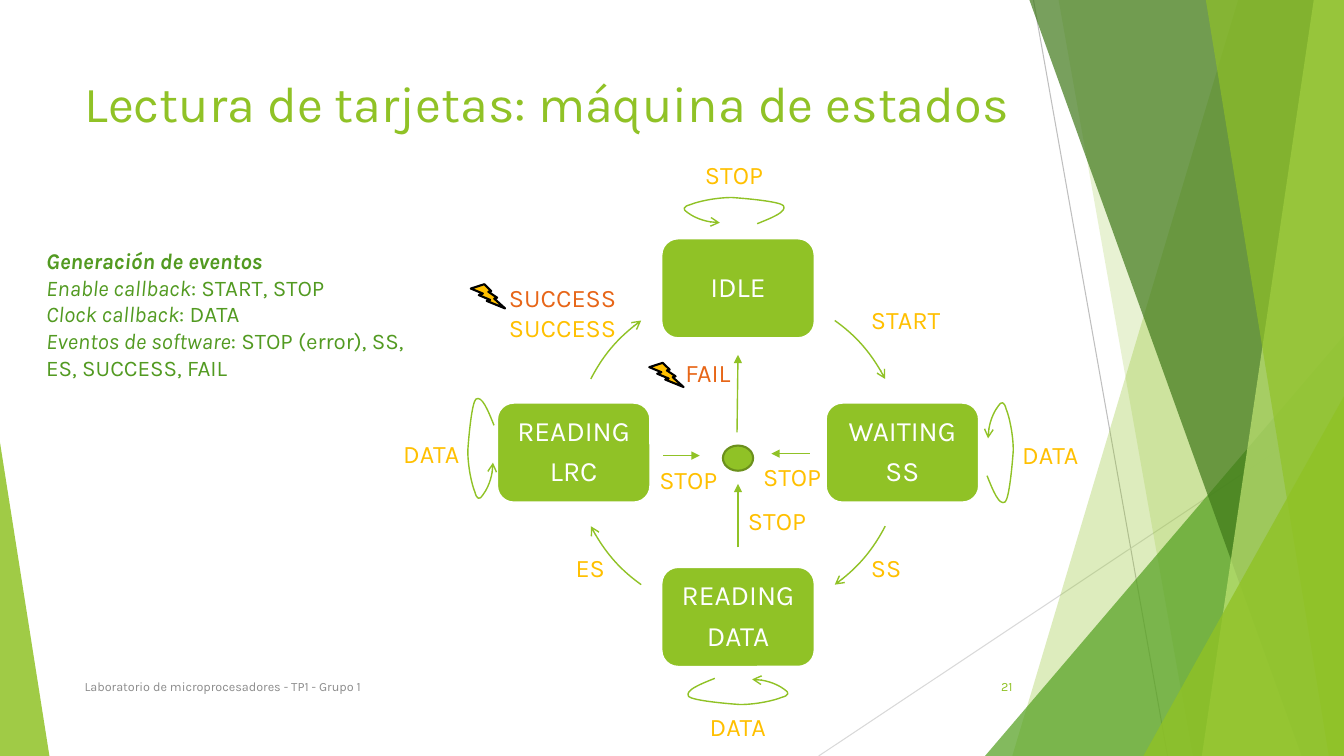
"""Build the card-reading state machine slide."""
from dataclasses import dataclass

from lxml import etree
from pptx import Presentation
from pptx import oxml
from pptx import util as u
from pptx.dml import color
from pptx.enum import shapes, text
from pptx.oxml import ns

GREEN, AMBER, ORANGE, FOREST, WHITE = "90C226", "FFC000", "E76618", "529A21", "FFFFFF"
RING_X, RING_Y, RING_RADIUS = 7.32, 4.49, 1.63
ARC = [(0.96, -1.31), (1.17, -1.16), (1.34, -0.96), (1.46, -0.73)]
LOOP = [(0.23, 0.13), (0.38, 0.07), (0.53, 0.01), (0.49, -0.05), (0.45, -0.09),
        (0.13, -0.12), (-0.02, -0.13), (-0.18, -0.13), (-0.36, -0.09), (-0.43, -0.06),
        (-0.51, -0.04), (-0.51, -0.01), (-0.46, 0.02), (-0.42, 0.05), (-0.3, 0.12),
        (-0.14, 0.12)]
Point = tuple[float, float]


@dataclass
class Span:
    words: str
    color: str = AMBER
    size: float = 18
    bold: bool = False
    italic: bool = False


@dataclass
class Label:
    x: float
    y: float
    width: float
    height: float
    lines: list[list[Span]]
    align: text.PP_ALIGN = text.PP_ALIGN.LEFT
    anchor: text.MSO_ANCHOR = text.MSO_ANCHOR.TOP


@dataclass
class State:
    name: str
    dx: int
    dy: int


@dataclass
class Facet:
    points: list[Point]
    color: str
    opacity: int


@dataclass
class Link:
    start: Point
    end: Point
    color: str = GREEN
    width: float = 1
    arrow: bool = True


def rgb(value: str) -> color.RGBColor:
    return color.RGBColor.from_string(value)


def paint(shape, fill: str | None, line: str | None = None, width: float = 1, opacity: int = 100) -> None:
    shape.shadow.inherit = False
    if fill:
        shape.fill.solid()
        shape.fill.fore_color.rgb = rgb(fill)
        if opacity < 100:
            tint = shape._element.spPr.find(ns.qn("a:solidFill")).find(ns.qn("a:srgbClr"))
            etree.SubElement(tint, ns.qn("a:alpha")).set("val", str(opacity * 1000))
    else:
        shape.fill.background()
    if line:
        shape.line.color.rgb = rgb(line)
        shape.line.width = u.Pt(width)
    else:
        shape.line.fill.background()


def add_head(shape, kind: str) -> None:
    outline = shape._element.spPr.find(ns.qn("a:ln"))
    outline.append(oxml.parse_xml(f'<a:tailEnd {ns.nsdecls("a")} type="{kind}"/>'))


def write(frame, lines: list[list[Span]], align: text.PP_ALIGN) -> None:
    frame.word_wrap = True
    frame.text = "\n" * (len(lines) - 1)
    for paragraph, spans in zip(frame.paragraphs, lines):
        paragraph.alignment = align
        for span in spans:
            run = paragraph.add_run()
            run.text = span.words
            run.font.name, run.font.size = "Karla", u.Pt(span.size)
            run.font.bold, run.font.italic = span.bold, span.italic
            run.font.color.rgb = rgb(span.color)


def draw_label(slide, label: Label) -> None:
    frame = slide.shapes.add_textbox(*map(u.Inches, (label.x, label.y, label.width, label.height))).text_frame
    write(frame, label.lines, label.align)
    frame.vertical_anchor = label.anchor


def draw_preset(slide, kind: shapes.MSO_SHAPE, x: float, y: float, width: float, height: float):
    return slide.shapes.add_shape(kind, *map(u.Inches, (x, y, width, height)))


def draw_outline(slide, points: list[Point], closed: bool):
    corners = [(u.Inches(x), u.Inches(y)) for x, y in points]
    builder = slide.shapes.build_freeform(*corners[0])
    builder.add_line_segments(corners[1:], close=closed)
    return builder.convert_to_shape()


def draw_curve(slide, points: list[Point]) -> None:
    """Join the points as cubic curves that end in an open arrowhead."""
    curve = draw_outline(slide, points, closed=False)
    steps = list(curve._element.iter(ns.qn("a:lnTo")))
    for first in range(0, len(steps), 3):
        bend = etree.Element(ns.qn("a:cubicBezTo"))
        steps[first].addprevious(bend)
        for step in steps[first:first + 3]:
            bend.append(step[0])
            step.getparent().remove(step)
    paint(curve, None, GREEN)
    add_head(curve, "arrow")


def draw_link(slide, link: Link) -> None:
    connector = slide.shapes.add_connector(
        shapes.MSO_CONNECTOR.STRAIGHT, *map(u.Inches, (*link.start, *link.end)))
    connector.line.color.rgb = rgb(link.color)
    connector.line.width = u.Pt(link.width)
    if link.arrow:
        add_head(connector, "triangle")
    etree.SubElement(connector._element.spPr, ns.qn("a:effectLst"))


def draw_state(slide, state: State) -> None:
    width, height = 1.52, 0.99
    box = draw_preset(slide, shapes.MSO_SHAPE.ROUNDED_RECTANGLE,
                      RING_X + state.dx * RING_RADIUS - width / 2,
                      RING_Y + state.dy * RING_RADIUS - height / 2, width, height)
    paint(box, GREEN, WHITE, 1.5)
    frame = box.text_frame
    write(frame, [[Span(word, WHITE, 20)] for word in state.name.split()], text.PP_ALIGN.CENTER)
    frame.vertical_anchor = text.MSO_ANCHOR.MIDDLE
    for paragraph in frame.paragraphs:
        paragraph.line_spacing, paragraph.space_after = 0.9, u.Pt(7)


FACETS = [
    Facet([(12.28, 0), (13.33, 0), (13.33, 7.5), (10.04, 7.5)], GREEN, 30),
    Facet([(10.5, 0), (13.33, 0), (13.33, 7.5), (11.83, 7.5)], GREEN, 20),
    Facet([(13.33, 3.33), (13.33, 7.5), (9.77, 7.5)], "54A021", 72),
    Facet([(10.21, 0), (13.33, 0), (13.33, 7.5), (12.91, 7.5)], "3F7819", 70),
    Facet([(13.03, 0), (13.33, 0), (13.33, 7.5), (11.92, 7.5)], "C0E474", 70),
    Facet([(11.96, 0), (13.33, 0), (13.33, 7.5), (13.18, 7.5)], GREEN, 65),
    Facet([(13.33, 3.93), (13.33, 7.5), (11.34, 7.5)], GREEN, 80),
    Facet([(0, 4.39), (0.49, 7.5), (0, 7.5)], GREEN, 85),
]
RAYS = [Link((10.25, 0), (11.58, 7.5), "BFBFBF", 0.75, False),
        Link((13.33, 4.03), (8.12, 7.5), "D9D9D9", 0.75, False)]
STATES = [State("IDLE", 0, -1), State("WAITING SS", 1, 0),
          State("READING DATA", 0, 1), State("READING LRC", -1, 0)]
LOOP_CENTERS = [(7.28, 2.09), (9.92, 4.49), (7.32, 6.86), (4.77, 4.45)]
STOPS = [Link((6.58, 4.52), (6.94, 4.52)), Link((7.32, 5.43), (7.32, 4.8)),
         Link((8.03, 4.5), (7.65, 4.5)), Link((7.31, 4.29), (7.32, 3.52))]
BOLTS = [(4.67, 2.82), (6.44, 3.6)]
EVENTS = [("START", 8.54, 2.97), ("SS", 8.54, 5.43), ("ES", 5.61, 5.43),
          ("DATA", 10.04, 4.31), ("DATA", 6.94, 7.01), ("DATA", 3.9, 4.3),
          ("STOP", 7.47, 4.53), ("STOP", 7.32, 4.96), ("STOP", 6.44, 4.56)]
SOURCES = [("Enable callback", ": START, STOP"), ("Clock callback", ": DATA"),
           ("Eventos de software", ": STOP (error), SS, ES, SUCCESS, FAIL")]
LABELS = [
    Label(0.74, 0.67, 9.4, 1.44, [[Span("Lectura de tarjetas: máquina de estados", GREEN, 36)]]),
    Label(0.74, 6.61, 6.89, 0.4, [[Span("Laboratorio de microprocesadores - TP1 - Grupo 1", "8C8C8C", 9)]],
          anchor=text.MSO_ANCHOR.MIDDLE),
    Label(9.39, 6.61, 0.75, 0.4, [[Span("21", GREEN, 9)]], text.PP_ALIGN.RIGHT, text.MSO_ANCHOR.MIDDLE),
    Label(4.95, 2.75, 1.33, 0.71, [[Span("SUCCESS", ORANGE)], [Span("SUCCESS")]]),
    Label(6.7, 3.5, 1.33, 0.71, [[Span("FAIL", ORANGE)]]),
    Label(5.89, 1.53, 2.78, 0.4, [[Span("STOP")]], text.PP_ALIGN.CENTER),
    Label(0.36, 2.4, 3.78, 1.45, [[Span("Generación de eventos", FOREST, 16, True, True)]] + [
        [Span(source, FOREST, 16, italic=True), Span(events, FOREST, 16)] for source, events in SOURCES]),
    *(Label(x, y, 1.09, 0.4, [[Span(event)]]) for event, x, y in EVENTS),
]


def main() -> None:
    deck = Presentation()
    deck.slide_width, deck.slide_height = u.Inches(13.33), u.Inches(7.5)
    slide = deck.slides.add_slide(deck.slide_layouts[6])
    for ray in RAYS:
        draw_link(slide, ray)
    for facet in FACETS:
        paint(draw_outline(slide, facet.points, closed=True), facet.color, opacity=facet.opacity)
    for state in STATES:
        draw_state(slide, state)
    for side, rise in [(1, 1), (1, -1), (-1, -1), (-1, 1)]:
        arc = [(RING_X + side * x, RING_Y + rise * y) for x, y in ARC]
        draw_curve(slide, arc if side == rise else arc[::-1])
    turned = LOOP
    for center_x, center_y in LOOP_CENTERS:
        draw_curve(slide, [(center_x + x, center_y + y) for x, y in turned])
        turned = [(-y, x) for x, y in turned]
    paint(draw_preset(slide, shapes.MSO_SHAPE.FLOWCHART_CONNECTOR, 7.17, 4.42, 0.3, 0.25), GREEN, "6B901C", 1.5)
    for stop in STOPS:
        draw_link(slide, stop)
    for x, y in BOLTS:
        paint(draw_preset(slide, shapes.MSO_SHAPE.LIGHTNING_BOLT, x, y, 0.34, 0.24), AMBER, "000000", 1.5)
    for label in LABELS:
        draw_label(slide, label)
    deck.save("out.pptx")


if __name__ == "__main__":
    main()
